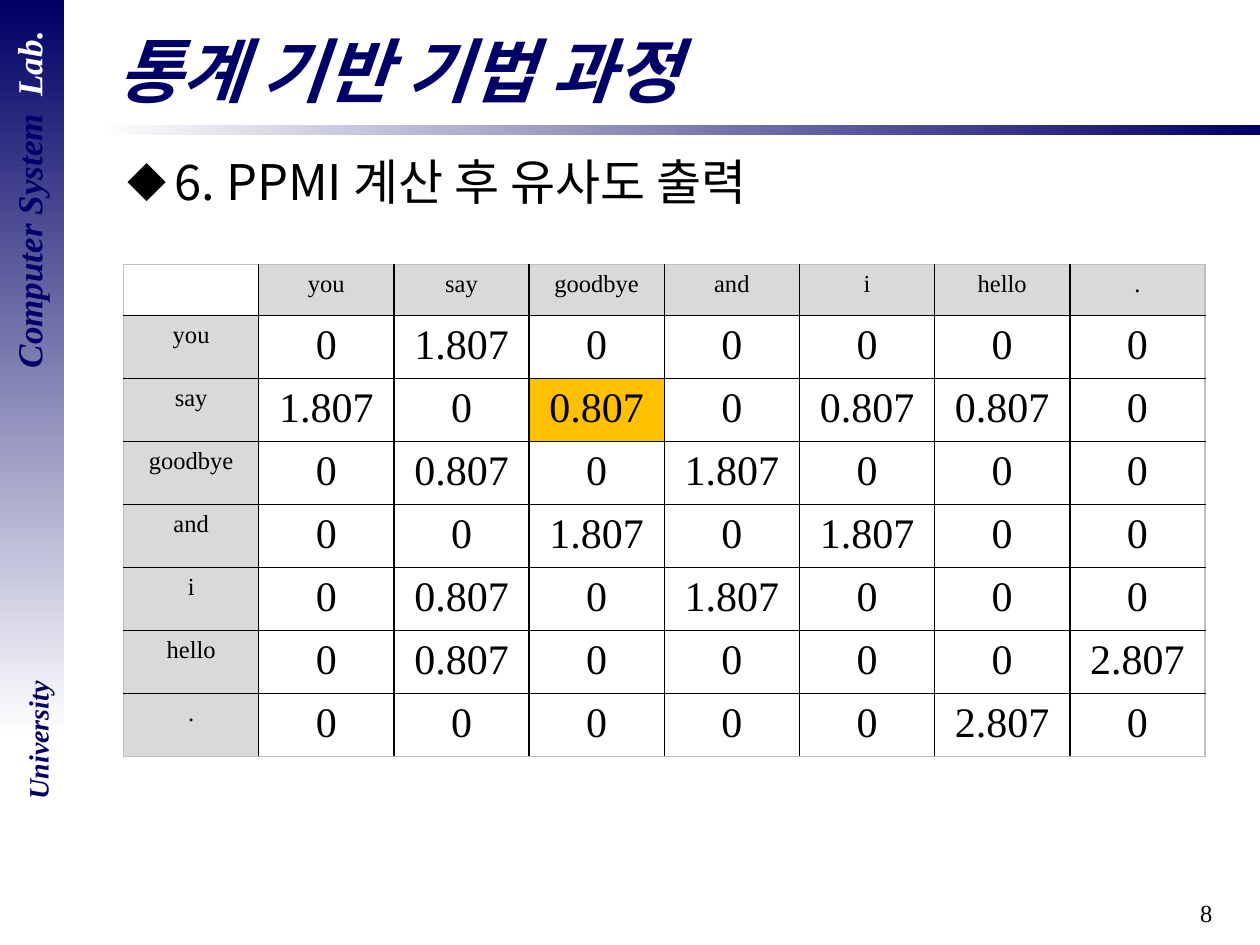
from lxml import etree
from pptx import Presentation
from pptx.dml.color import RGBColor
from pptx.enum.shapes import MSO_SHAPE
from pptx.enum.text import MSO_ANCHOR, MSO_AUTO_SIZE, PP_ALIGN
from pptx.oxml.ns import qn
from pptx.util import Pt

RECT = MSO_SHAPE.RECTANGLE
LEFT, CENTER, RIGHT = PP_ALIGN.LEFT, PP_ALIGN.CENTER, PP_ALIGN.RIGHT
TOP, MIDDLE = MSO_ANCHOR.TOP, MSO_ANCHOR.MIDDLE
NO_FIT = MSO_AUTO_SIZE.NONE
SERIF, SANS = "Times New Roman", "Noto Sans CJK KR"
NAVY, WHITE, BLACK = "000066", "FFFFFF", "000000"
HEAD_FILL, MARK_FILL, EDGE = "D9D9D9", "FFC000", "BFBFBF"

WORDS = ["you", "say", "goodbye", "and", "i", "hello", "."]
PPMI = [
    ["0", "1.807", "0", "0", "0", "0", "0"],
    ["1.807", "0", "0.807", "0", "0.807", "0.807", "0"],
    ["0", "0.807", "0", "1.807", "0", "0", "0"],
    ["0", "0", "1.807", "0", "1.807", "0", "0"],
    ["0", "0.807", "0", "1.807", "0", "0", "0"],
    ["0", "0.807", "0", "0", "0", "0", "2.807"],
    ["0", "0", "0", "0", "0", "2.807", "0"],
]
MARKED = (2, 3)


def rgb(value):
    """Turn a hex string into a colour."""
    return RGBColor.from_string(value)


def pts(*values):
    """Turn numbers into point lengths."""
    return [Pt(v) for v in values]


def add_run(p, text, color=BLACK, **fmt):
    """Add a run with the given font values."""
    r = p.add_run()
    r.text = text
    for name, value in fmt.items():
        setattr(r.font, name, value)
    r.font.color.rgb = rgb(color)
    r.font.language_id = None
    if fmt["name"] == SANS:
        ea = etree.SubElement(r.font._element, qn("a:ea"))
        ea.set("typeface", SANS)


def place(sp, box):
    """Move a shape to a box given in points."""
    sp.left, sp.top, sp.width, sp.height = pts(*box)


def gradient_bar(slide, box, start, end, angle):
    """Draw a borderless bar that fades between two colours."""
    sp = slide.shapes.add_shape(RECT, *pts(*box))
    sp.shadow.inherit = False
    sp.line.fill.background()
    sp.fill.gradient()
    sp.fill.gradient_angle = angle
    for stop, color in zip(sp.fill.gradient_stops, (start, end)):
        stop.color.rgb = rgb(color)


def label(slide, box, parts, align=CENTER, rotation=0, **fmt):
    """Add a one-line text box made of coloured parts."""
    sp = slide.shapes.add_textbox(*pts(*box))
    sp.rotation = rotation
    sp.text_frame.word_wrap = True
    p = sp.text_frame.paragraphs[0]
    p.alignment = align
    for text, color in parts:
        add_run(p, text, color, name=SERIF, **fmt)


def sidebar(slide, box):
    """Draw the fading side strip with its upright labels."""
    x, y, w, h = box
    gradient_bar(slide, box, NAVY, WHITE, 270)
    lab = [("Computer System  ", NAVY), ("Lab.", WHITE)]
    for parts, size, cx, cy, length, depth in (
        (lab, 20, 16.2, 114.1, 221, 31),
        ([("University", NAVY)], 16, 21.6, 423, 102.2, 26.6),
    ):
        spot = (x + cx - length / 2, y + cy - depth / 2, length, depth)
        label(slide, spot, parts, rotation=270, size=Pt(size), bold=True, italic=True)


def heading(slide, box, text):
    """Fill the title and draw the fading rule below it."""
    x, y, w, h = box
    sp = slide.shapes.title
    place(sp, box)
    tf = sp.text_frame
    tf.auto_size, tf.vertical_anchor = NO_FIT, MIDDLE
    p = tf.paragraphs[0]
    p.alignment = LEFT
    add_run(p, text, NAVY, name=SANS, size=Pt(40), bold=True, italic=True)
    gradient_bar(slide, (x - 5.8, y + 59.1, 666, 5.8), WHITE, NAVY, 0)


def body(slide, box, text):
    """Fill the body with one diamond bullet."""
    sp = slide.placeholders[1]
    place(sp, box)
    tf = sp.text_frame
    tf.auto_size, tf.vertical_anchor = NO_FIT, TOP
    p = tf.paragraphs[0]
    p.alignment, p.space_before = LEFT, Pt(5.6)
    add_run(p, text, name=SANS, size=Pt(28))
    pPr = p._p.get_or_add_pPr()
    pPr.set("marL", str(Pt(27)))
    pPr.set("indent", str(Pt(-27)))
    for tag, key, value in (
        ("a:buSzPct", "val", "80000"),
        ("a:buFont", "typeface", SANS),
        ("a:buChar", "char", "◆"),
    ):
        etree.SubElement(pPr, qn(tag)).set(key, value)


def set_borders(cell, colors):
    """Draw the left, right, top and bottom lines of a cell."""
    tcPr = cell._tc.get_or_add_tcPr()
    for i, (side, color) in enumerate(zip("LRTB", colors)):
        ln = etree.Element(qn("a:ln" + side), w=str(Pt(1)))
        fill = etree.SubElement(ln, qn("a:solidFill"))
        etree.SubElement(fill, qn("a:srgbClr")).set("val", color)
        tcPr.insert(i, ln)


def ppmi_table(slide, box):
    """Build the word-by-word PPMI table."""
    rows = [[""] + WORDS] + [[w] + vals for w, vals in zip(WORDS, PPMI)]
    n = len(rows)
    table = slide.shapes.add_table(n, n, *pts(*box)).table
    table.first_row = table.horz_banding = False
    for line in table.columns:
        line.width = Pt(box[2] / n)
    for line in table.rows:
        line.height = Pt(box[3] / n)
    for i, row in enumerate(rows):
        for j, text in enumerate(row):
            cell = table.cell(i, j)
            head = i == 0 or j == 0
            color = MARK_FILL if (i, j) == MARKED else HEAD_FILL
            if text and (head or (i, j) == MARKED):
                cell.fill.solid()
                cell.fill.fore_color.rgb = rgb(color)
            else:
                cell.fill.background()
            outer = (j == 0, j == n - 1, i == 0, i == n - 1)
            set_borders(cell, [EDGE if o else BLACK for o in outer])
            if text:
                p = cell.text_frame.paragraphs[0]
                p.alignment = CENTER
                add_run(p, text, name=SERIF, size=Pt(14 if head else 24))


def main():
    """Build and save the slide."""
    prs = Presentation()
    prs.slide_width, prs.slide_height = pts(720, 540)
    slide = prs.slides.add_slide(prs.slide_layouts[1])
    sidebar(slide, (0, 0, 36.8, 420))
    heading(slide, (59.8, 12.2, 640.8, 55.4), "통계 기반 기법 과정")
    body(slide, (65.5, 82.8, 629.3, 415.4), "6. PPMI 계산 후 유사도 출력")
    ppmi_table(slide, (70.6, 151, 618, 233.6))
    label(slide, (550, 509.8, 149.8, 30.2), [("8", BLACK)], RIGHT, size=Pt(14))
    prs.save("out.pptx")


main()
